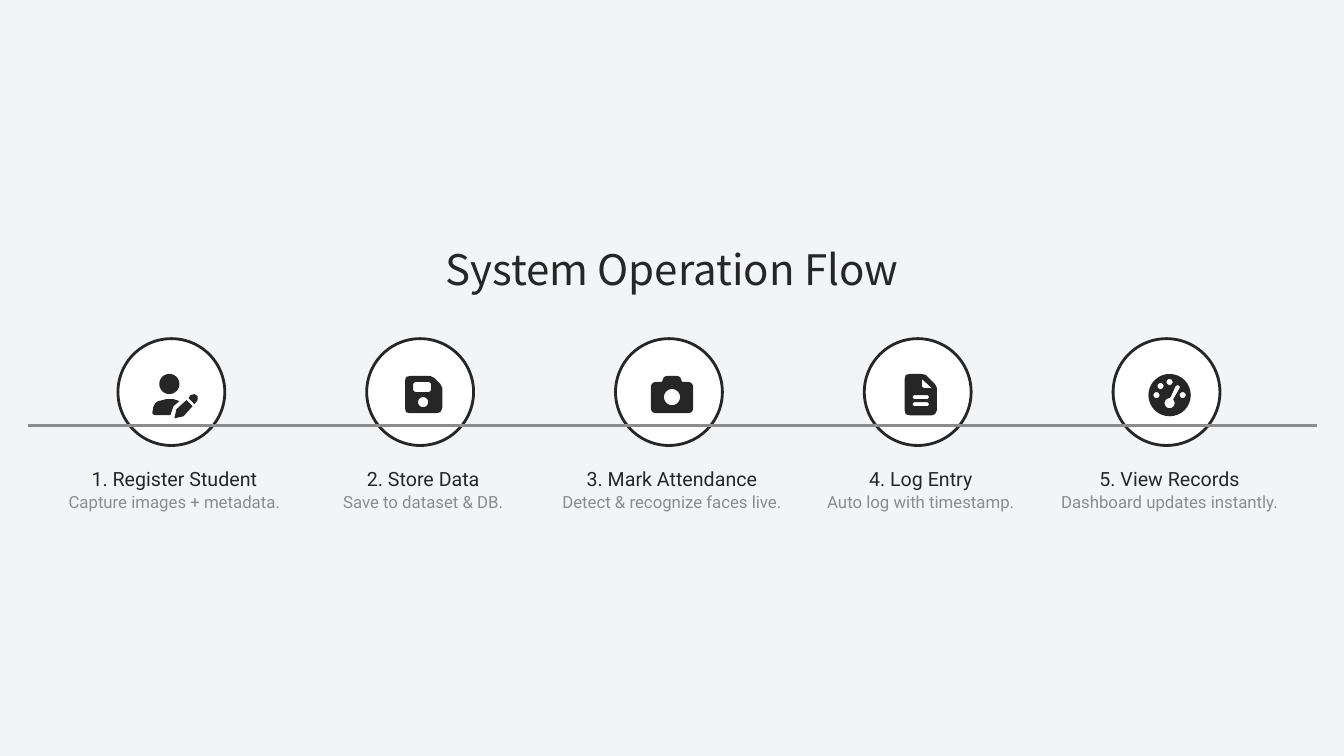
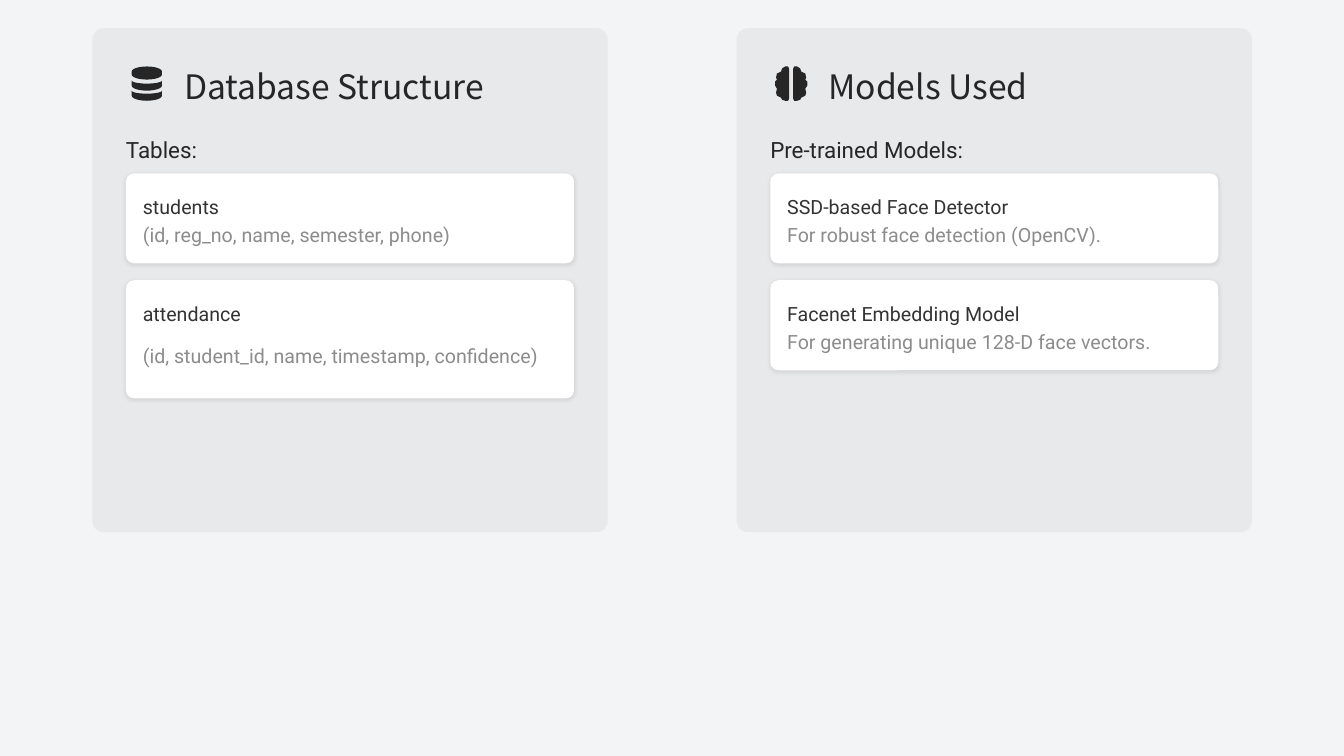
import math

import pptx
import pptx.dml.color
import pptx.enum.shapes
import pptx.enum.text
import pptx.oxml
import pptx.oxml.ns
import pptx.util
from pptx.util import Inches

INK, WHITE, GREY, BODY, BACKGROUND = "262626", "FFFFFF", "8C8C8C", "333333", "F3F4F6"
TITLE_FONT, BODY_FONT = "Noto Sans CJK SC", "Roboto"
SLIDE_W, SLIDE_H = 13.33, 7.5

SHAPE = pptx.enum.shapes.MSO_SHAPE
LEFT, CENTER = pptx.enum.text.PP_ALIGN.LEFT, pptx.enum.text.PP_ALIGN.CENTER


def arc(cx, cy, rx, ry, start, end, steps=12):
    """Points along an ellipse; degrees run clockwise from the right."""
    angles = [math.radians(start + (end - start) * i / steps) for i in range(steps + 1)]
    return [(cx + rx * math.cos(a), cy + ry * math.sin(a)) for a in angles]


def disc(cx, cy, radius):
    return arc(cx, cy, radius, radius, 0, 360, 32)


def round_box(left, top, right, bottom, radius):
    corners = [(right - radius, bottom - radius), (left + radius, bottom - radius),
               (left + radius, top + radius), (right - radius, top + radius)]
    return [point for i, (x, y) in enumerate(corners)
            for point in arc(x, y, radius, radius, 90 * i, 90 * i + 90, 6)]


# Each icon is a list of outlines in inches from its centre; inner ones are holes.
BRAIN_HALF = [(.02, -.15), (.03, -.17), (.06, -.17), (.09, -.15), (.1, -.12), (.14, -.1),
              (.15, -.06), (.14, -.04), (.16, -.02), (.16, .02), (.14, .05), (.15, .09),
              (.14, .12), (.1, .14), (.09, .16), (.06, .17), (.03, .17), (.02, .15)]
ICONS = {
    "user": [
        disc(-.05, -.11, .1),
        [(-.22, .18), (-.21, .12), (-.19, .08), (-.16, .06), (-.08, .04), (-.01, .04),
         (.05, .06), (-.01, .11), (-.04, .2), (-.2, .2)],
        [(.18, .11), (.12, .05), (.02, .14), (0, .23), (.09, .21)],
        [(.14, .03), (.16, 0), (.2, -.01), (.23, .01), (.23, .05), (.2, .09)],
    ],
    "disk": [
        [(-.18, -.14), (-.17, -.18), (-.13, -.19), (.07, -.19), (.11, -.17), (.17, -.11),
         (.19, -.07), (.19, .13), (.17, .17), (.13, .18), (-.13, .18), (-.17, .17),
         (-.18, .13)],
        round_box(-.1, -.13, .08, -.03, .03),
        disc(0, .07, .05),
    ],
    "camera": [
        [*arc(.16, .13, .05, .05, 0, 90, 6), *arc(-.16, .13, .05, .05, 90, 180, 6),
         *arc(-.16, -.08, .05, .05, 180, 270, 6), (-.1, -.13), (-.08, -.18), (-.05, -.19),
         (.05, -.19), (.08, -.18), (.1, -.13), *arc(.16, -.08, .05, .05, 270, 360, 6)],
        disc(0, .02, .08),
    ],
    "file": [
        [(-.16, -.16), (-.15, -.2), (-.11, -.21), (.01, -.21), (.05, -.2), (.14, -.11),
         (.16, -.07), (.16, .15), (.14, .19), (.11, .2), (-.11, .2), (-.15, .19),
         (-.16, .15)],
        [(.01, -.16), (.11, -.07), (.03, -.07), (.01, -.09)],
        *[round_box(-.08, y, .08, y + .04, .02) for y in (0, .07)],
    ],
    "gauge": [
        disc(0, 0, .21),
        *[disc(x, y, .03) for x, y in [(0, -.13), (-.09, -.09), (-.13, 0), (.13, 0)]],
        [*arc(0, .08, .05, .05, -45, 270, 20), (.01, .02), (.06, -.09), (.08, -.1),
         (.1, -.09), (.1, -.07)],
    ],
    "database": [
        arc(0, -.12, .15, .05, 180, 360) + arc(0, -.09, .15, .05, 0, 180),
        *[arc(0, y + .05, .15, .05, 0, 180) + arc(0, y, .15, .03, 180, 0)
          for y in (-.03, .07)],
    ],
    "brain": [[(side * x, y) for x, y in BRAIN_HALF] for side in (-1, 1)],
}

STEPS = [
    ("user", "1. Register Student", "Capture images + metadata."),
    ("disk", "2. Store Data", "Save to dataset & DB."),
    ("camera", "3. Mark Attendance", "Detect & recognize faces live."),
    ("file", "4. Log Entry", "Auto log with timestamp."),
    ("gauge", "5. View Records", "Dashboard updates instantly."),
]
# Panels: icon, heading, label, cards of (name, detail, detail height)
PANELS = [
    ("database", "Database Structure", "Tables:", [
        ("students", "(id, reg_no, name, semester, phone)", .28),
        ("attendance", "(id, student_id, name, timestamp, confidence)", .56)]),
    ("brain", "Models Used", "Pre-trained Models:", [
        ("SSD-based Face Detector", "For robust face detection (OpenCV).", .28),
        ("Facenet Embedding Model", "For generating unique 128-D face vectors.", .28)]),
]


def rgb(color):
    return pptx.dml.color.RGBColor.from_string(color)


def paint(sp, fill, line=None):
    sp.shadow.inherit = False
    sp.fill.solid()
    sp.fill.fore_color.rgb = rgb(fill)
    if line:
        sp.line.color.rgb = rgb(line)
        sp.line.width = pptx.util.Pt(2)
    else:
        sp.line.fill.background()


def add_round_box(slide, box, fill, radius):
    sp = slide.shapes.add_shape(SHAPE.ROUNDED_RECTANGLE, *map(Inches, box))
    sp.adjustments[0] = radius / min(box[2:])
    paint(sp, fill)
    return sp


def add_icon(slide, name, cx, cy):
    outlines = [[(Inches(cx + x), Inches(cy + y)) for x, y in outline]
                for outline in ICONS[name]]
    builder = slide.shapes.build_freeform(*outlines[0][0])
    for i, outline in enumerate(outlines):
        if i:
            builder.move_to(*outline[0])
        builder.add_line_segments(outline[1:], close=True)
    paint(builder.convert_to_shape(), INK)


def write(sp, text, size, color, font=BODY_FONT, align=LEFT, spacing=1.0):
    tf = sp.text_frame
    tf.word_wrap = True
    tf.auto_size = pptx.enum.text.MSO_AUTO_SIZE.NONE
    tf.vertical_anchor = pptx.enum.text.MSO_ANCHOR.MIDDLE
    tf.margin_left = tf.margin_right = tf.margin_top = tf.margin_bottom = 0
    p = tf.paragraphs[0]
    p.alignment = align
    p.line_spacing = spacing
    r = p.add_run()
    r.text = text
    r.font.size = pptx.util.Pt(size)
    r.font.name = font
    r.font.color.rgb = rgb(color)


def add_text(slide, box, *args, **kwargs):
    write(slide.shapes.add_textbox(*map(Inches, box)), *args, **kwargs)


def add_xml(parent, tag, attributes="", inner=""):
    ns = pptx.oxml.ns.nsdecls("a")
    parent.append(pptx.oxml.parse_xml(f"<a:{tag} {ns} {attributes}>{inner}</a:{tag}>"))


def set_opacity(sp, percent):
    color = sp.element.spPr.find(".//" + pptx.oxml.ns.qn("a:srgbClr"))
    add_xml(color, "alpha", f'val="{percent * 1000}"')


def add_soft_shadow(sp):
    effects = sp.element.spPr.find(pptx.oxml.ns.qn("a:effectLst"))
    add_xml(effects, "outerShdw",
            f'blurRad="{pptx.util.Pt(3)}" dist="{pptx.util.Pt(1)}" dir="5400000"',
            '<a:srgbClr val="000000"><a:alpha val="10000"/></a:srgbClr>')


def add_step(slide, cx, top, width, icon, name, detail):
    size = 1.06
    circle = slide.shapes.add_shape(SHAPE.OVAL, *map(Inches, (cx - size / 2, top, size, size)))
    paint(circle, WHITE, INK)
    cx += .03
    add_icon(slide, icon, cx, top + .56)
    left = cx - width / 2
    add_text(slide, (left, top + 1.22, width, .29), name, 14, INK, align=CENTER, spacing=1.2)
    add_text(slide, (left, top + 1.5, width, .22), detail, 12, GREY, align=CENTER, spacing=1.1)


def add_card(slide, left, top, width, name, detail, detail_h):
    """Draw one card and return its height."""
    pad, name_h = 1 / 6, .28
    height = 2 * pad + name_h + detail_h
    card = add_round_box(slide, (left, top, width, height), WHITE, .08)
    add_soft_shadow(card)
    x, y, w = left + pad, top + pad, width - 2 * pad
    add_text(slide, (x, y, w, name_h), name, 14, BODY, spacing=1.2)
    add_text(slide, (x, y + name_h, w, detail_h), detail, 14, GREY, spacing=1.2)
    return height


def add_panel(slide, left, top, icon, heading, label, cards):
    width, height, pad, gap = 5.11, 5, 1 / 3, 1 / 6
    panel = add_round_box(slide, (left, top, width, height), INK, .11)
    set_opacity(panel, 5)
    add_icon(slide, icon, left + .54, top + .55)
    add_text(slide, (left + .91, top + .33, 3.86, .44), heading, 24, INK, TITLE_FONT, spacing=1.1)
    inner = width - 2 * pad
    add_text(slide, (left + pad, top + 1, inner, .33), label, 16, INK, spacing=1.3)
    y = top + 1.44
    for card in cards:
        y += add_card(slide, left + pad, y, inner, *card) + gap


def build_flow_slide(prs):
    slide = prs.slides.add_slide(prs.slide_layouts[5])
    title = slide.shapes.title
    title.left, title.top, title.width, title.height = map(Inches, (0, 2.42, SLIDE_W, .5))
    write(title, "System Operation Flow", 30, INK, TITLE_FONT, CENTER)
    first, last = 1.7, 11.57
    pitch = (last - first) / (len(STEPS) - 1)
    for i, step in enumerate(STEPS):
        add_step(slide, first + i * pitch, 3.36, pitch, *step)
    straight = pptx.enum.shapes.MSO_CONNECTOR.STRAIGHT
    timeline = slide.shapes.add_connector(straight, *map(Inches, (.28, 4.22, 13.06, 4.22)))
    timeline.line.color.rgb = rgb(GREY)
    timeline.line.width = pptx.util.Pt(2.25)
    add_xml(timeline.element.spPr, "effectLst")


def build_panels_slide(prs):
    slide = prs.slides.add_slide(prs.slide_layouts[6])
    first, pitch = 11 / 12, 6.39
    for i, panel in enumerate(PANELS):
        add_panel(slide, first + i * pitch, .28, *panel)


def main():
    prs = pptx.Presentation()
    prs.slide_width, prs.slide_height = Inches(SLIDE_W), Inches(SLIDE_H)
    fill = prs.slide_master.background.fill
    fill.solid()
    fill.fore_color.rgb = rgb(BACKGROUND)
    build_flow_slide(prs)
    build_panels_slide(prs)
    prs.save("out.pptx")


if __name__ == "__main__":
    main()
